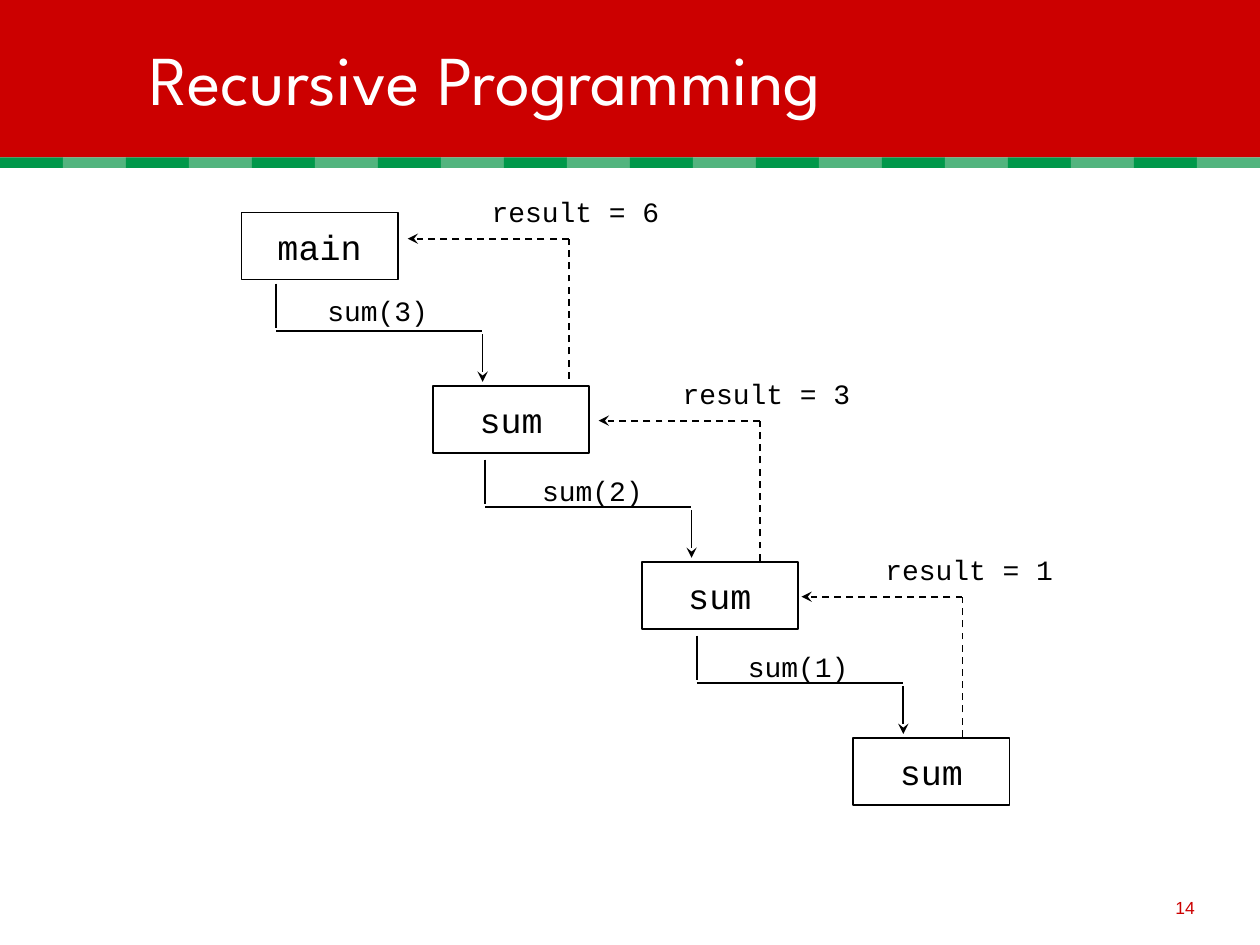
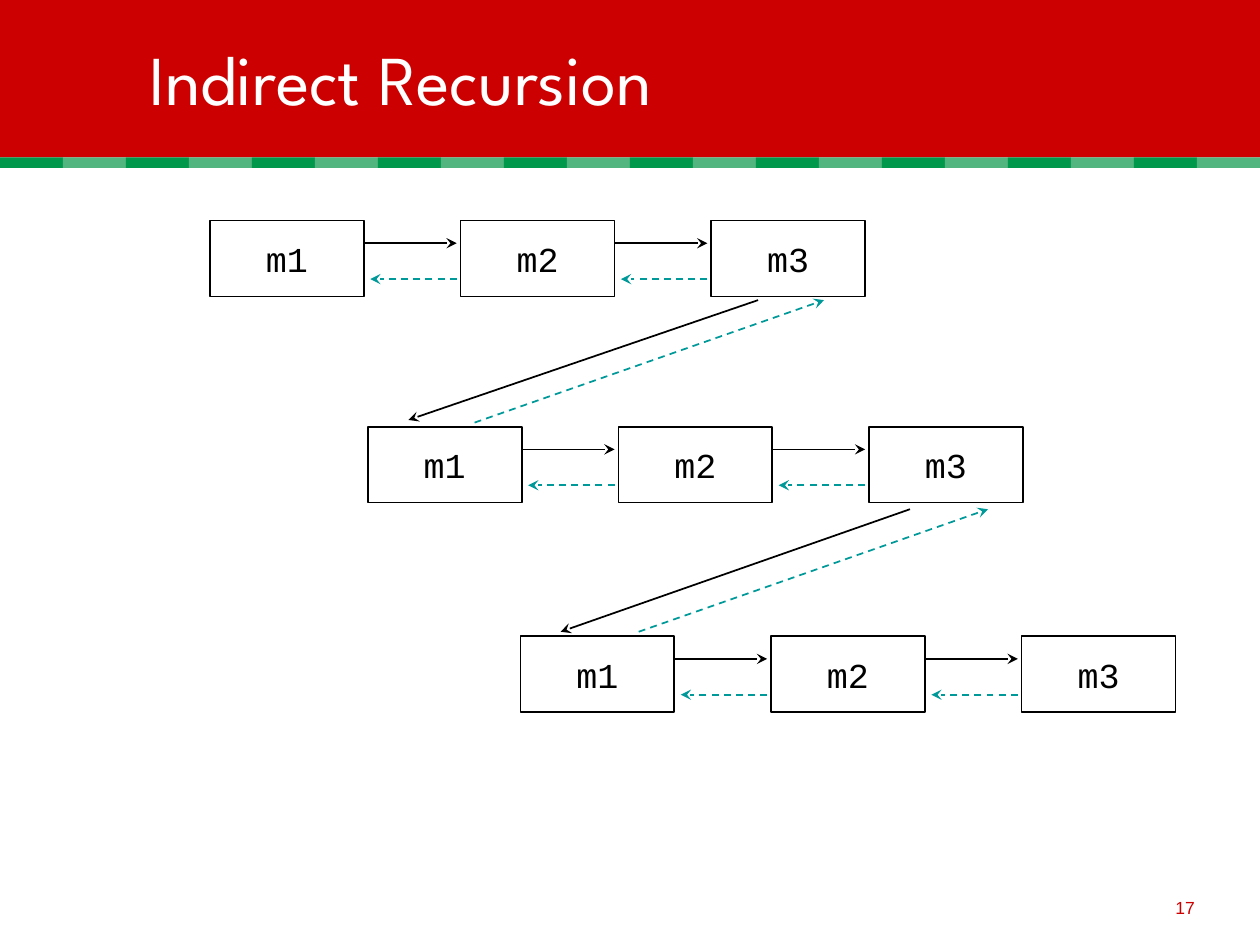
from dataclasses import dataclass
from itertools import cycle, islice

from lxml.etree import SubElement
from pptx import Presentation
from pptx.dml.color import RGBColor
from pptx.enum.dml import MSO_LINE
from pptx.enum.shapes import MSO_CONNECTOR, MSO_SHAPE
from pptx.enum.text import MSO_ANCHOR, MSO_AUTO_SIZE, PP_ALIGN
from pptx.oxml.ns import qn
from pptx.util import Pt

COLOURS = {
    "band": "CC0000",
    "dark_tile": "00984A",
    "light_tile": "52B47E",
    "title": "FFFFFF",
    "ink": "000000",
    "return": "009999",
    "page": "CC0000",
}
TITLE_FONT, CODE_FONT, PAGE_FONT = "League Spartan", "Courier New", "Arial"
SLIDE_WIDTH, SLIDE_HEIGHT = 720, 540
BAND_HEIGHT, TILE_WIDTH, TILE_HEIGHT = 90, 36, 6
TILE_COUNT = SLIDE_WIDTH // TILE_WIDTH


@dataclass(frozen=True)
class Point:
    x: float
    y: float

    def shift(self, dx: float = 0, dy: float = 0) -> "Point":
        return Point(self.x + dx, self.y + dy)


@dataclass(frozen=True)
class Size:
    width: float
    height: float


@dataclass(frozen=True)
class Frame:
    name: str
    corner: Point


@dataclass(frozen=True)
class Call:
    text: str
    start: Point
    label: Point


@dataclass(frozen=True)
class Return:
    text: str
    bend: Point


@dataclass(frozen=True)
class Link:
    start: Point
    end: Point


FRAME_SIZE, METHOD_SIZE = Size(89.3, 38.2), Size(88, 43.4)
CALL_LABEL, RETURN_LABEL = Size(72, 26.6), Size(110.2, 26.6)
PAGE_SIZE = Size(149.8, 30.2)

FRAMES = [
    Frame("main", Point(138, 121.5)),
    Frame("sum", Point(247.5, 220.5)),
    Frame("sum", Point(366.7, 321.1)),
    Frame("sum", Point(487.6, 421.7)),
]
CALLS = [
    Call("sum(3)", Point(157.8, 162), Point(180, 164.3)),
    Call("sum(2)", Point(277.2, 262.6), Point(302.7, 267.1)),
    Call("sum(1)", Point(398.2, 363.2), Point(420.3, 367.4)),
]
RETURNS = [
    Return("result = 6", Point(325, 136.4)),
    Return("result = 3", Point(434.1, 240.4)),
    Return("result = 1", Point(550, 341)),
]

METHODS = ["m1", "m2", "m3"]
METHOD_STEP = 143.2
CHAINS = [Point(120, 126), Point(210.2, 243.8), Point(297.4, 363.5)]
NEXT_CALLS = [
    Link(Point(433.2, 171.5), Point(233.4, 240)),
    Link(Point(520, 291), Point(320.4, 361)),
]
NEXT_RETURNS = [
    Link(Point(271.2, 241.5), Point(470.9, 171.5)),
    Link(Point(365, 361), Point(564.6, 291)),
]


def write(shape, text: str, *, font: str, size: float, colour: str,
          align=PP_ALIGN.LEFT, anchor=MSO_ANCHOR.TOP, wrap: bool = False) -> None:
    frame = shape.text_frame
    frame.auto_size = MSO_AUTO_SIZE.NONE
    frame.word_wrap = wrap
    frame.vertical_anchor = anchor
    paragraph = frame.paragraphs[0]
    paragraph.alignment = align
    run = paragraph.add_run()
    run.text = text
    run.font.name = font
    run.font.size = Pt(size)
    run.font.color.rgb = RGBColor.from_string(COLOURS[colour])


def add_rectangle(slide, corner: Point, size: Size, fill: str | None = None):
    shape = slide.shapes.add_shape(
        MSO_SHAPE.RECTANGLE, Pt(corner.x), Pt(corner.y), Pt(size.width), Pt(size.height))
    shape.shadow.inherit = False
    if fill:
        shape.fill.solid()
        shape.fill.fore_color.rgb = RGBColor.from_string(COLOURS[fill])
        shape.line.fill.background()
    else:
        shape.fill.background()
        shape.line.color.rgb = RGBColor.from_string(COLOURS["ink"])
        shape.line.width = Pt(1)
    return shape


def add_code_box(slide, name: str, corner: Point, size: Size) -> None:
    write(add_rectangle(slide, corner, size), name, font=CODE_FONT, size=20,
          colour="ink", align=PP_ALIGN.CENTER, anchor=MSO_ANCHOR.MIDDLE)


def add_label(slide, text: str, corner: Point, extent: Size, **text_format) -> None:
    label = slide.shapes.add_textbox(
        Pt(corner.x), Pt(corner.y), Pt(extent.width), Pt(extent.height))
    write(label, text, **text_format)


def add_line(slide, start: Point, end: Point, colour: str = "ink",
             dashed: bool = False, arrow: bool = True) -> None:
    connector = slide.shapes.add_connector(
        MSO_CONNECTOR.STRAIGHT, Pt(start.x), Pt(start.y), Pt(end.x), Pt(end.y))
    connector.line.color.rgb = RGBColor.from_string(COLOURS[colour])
    connector.line.width = Pt(1)
    if dashed:
        connector.line.dash_style = MSO_LINE.DASH
    properties = connector.element.spPr
    if arrow:
        SubElement(properties.find(qn("a:ln")), qn("a:tailEnd"), type="stealth")
    SubElement(properties, qn("a:effectLst"))


def decorate_layout(slide) -> None:
    bands = [add_rectangle(slide, Point(0, 0), Size(SLIDE_WIDTH, BAND_HEIGHT), "band")]
    tile_colours = islice(cycle(["dark_tile", "light_tile"]), TILE_COUNT)
    for column, colour in enumerate(tile_colours):
        bands.append(add_rectangle(slide, Point(column * TILE_WIDTH, BAND_HEIGHT),
                                   Size(TILE_WIDTH, TILE_HEIGHT), colour))
    layout_tree = slide.slide_layout.shapes.element
    for position, band in enumerate(bands, start=2):
        layout_tree.insert(position, band.element)


def add_titled_slide(deck, heading: str, page: int):
    slide = deck.slides.add_slide(deck.slide_layouts[5])
    title = slide.shapes.title
    title.left, title.top, title.width, title.height = Pt(78), Pt(17), Pt(624), Pt(54)
    write(title, heading, font=TITLE_FONT, size=40, colour="title",
          anchor=MSO_ANCHOR.MIDDLE, wrap=True)
    add_label(slide, str(page), Point(540, 498), PAGE_SIZE, font=PAGE_FONT, size=10,
              colour="page", align=PP_ALIGN.RIGHT, anchor=MSO_ANCHOR.BOTTOM, wrap=True)
    return slide


def draw_call(slide, call: Call) -> None:
    start = call.start
    add_line(slide, start, start.shift(dy=25.4), arrow=False)
    add_line(slide, start.shift(dy=27.2), start.shift(117.8, 27.2), arrow=False)
    add_line(slide, start.shift(118, 28.9), start.shift(118, 56.2))
    add_label(slide, call.text, call.label, CALL_LABEL,
              font=CODE_FONT, size=16, colour="ink")


def draw_return(slide, result: Return) -> None:
    bend = result.bend
    add_line(slide, bend.shift(dy=80), bend, dashed=True, arrow=False)
    add_line(slide, bend, bend.shift(-92), dashed=True)
    add_label(slide, result.text, bend.shift(-51.1, -28.6), RETURN_LABEL,
              font=CODE_FONT, size=16, colour="ink")


def draw_chain(slide, corner: Point) -> None:
    for position, method in enumerate(METHODS):
        box = corner.shift(position * METHOD_STEP)
        add_code_box(slide, method, box, METHOD_SIZE)
        if position < len(METHODS) - 1:
            add_line(slide, box.shift(METHOD_SIZE.width, 13), box.shift(141, 13))
            add_line(slide, box.shift(141, 33.5), box.shift(91.6, 33.5), "return", True)


def build_recursive_programming(deck) -> None:
    slide = add_titled_slide(deck, "Recursive Programming", 14)
    decorate_layout(slide)
    for frame in FRAMES:
        add_code_box(slide, frame.name, frame.corner, FRAME_SIZE)
    for call in CALLS:
        draw_call(slide, call)
    for result in RETURNS:
        draw_return(slide, result)


def build_indirect_recursion(deck) -> None:
    slide = add_titled_slide(deck, "Indirect Recursion", 17)
    for corner in CHAINS:
        draw_chain(slide, corner)
    for link in NEXT_CALLS:
        add_line(slide, link.start, link.end)
    for link in NEXT_RETURNS:
        add_line(slide, link.start, link.end, "return", True)


def main() -> None:
    deck = Presentation()
    deck.slide_width, deck.slide_height = Pt(SLIDE_WIDTH), Pt(SLIDE_HEIGHT)
    build_recursive_programming(deck)
    build_indirect_recursion(deck)
    deck.save("out.pptx")


if __name__ == "__main__":
    main()
